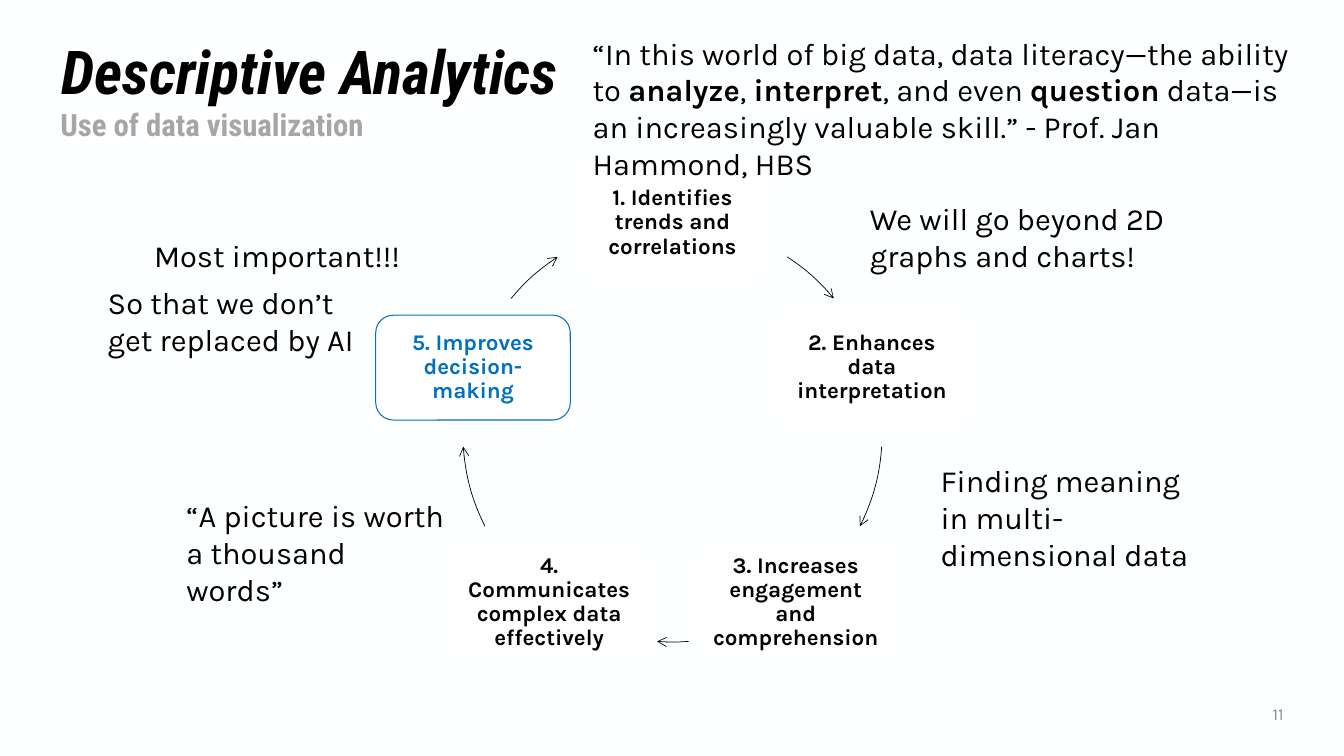
from dataclasses import dataclass
from math import cos, radians, sin

from lxml.etree import SubElement
from pptx import Presentation
from pptx.dml.color import RGBColor
from pptx.enum.shapes import MSO_SHAPE
from pptx.enum.text import MSO_ANCHOR, MSO_AUTO_SIZE, PP_ALIGN
from pptx.oxml.ns import qn
from pptx.util import Inches, Pt


@dataclass(frozen=True)
class Theme:
    background: str = "FEFFFF"
    node_fill: str = "FFFFFF"
    ink: str = "000000"
    accent: str = "0070C0"
    subtitle: str = "A6A6A6"
    number: str = "8C8C8C"
    heading_font: str = "Roboto Condensed"
    body_font: str = "Karla"
    title_size: float = 43.2
    note_size: float = 22
    node_size: float = 16
    number_size: float = 12


THEME = Theme()
CENTER_X, CENTER_Y, RADIUS = 6.67, 4.29, 2.08
NODE_W, NODE_H = 1.93, 1.04

STEPS = [
    "1. Identifies trends and correlations",
    "2. Enhances data interpretation",
    "3. Increases engagement and comprehension",
    "4. Communicates complex data effectively",
    "5. Improves decision-making",
]
HIGHLIGHTED = 4

ARROW_ANGLES = [(303.2, 320.3), (3.9, 26.6), (85.6, 94.2), (153.4, 176.1), (219.7, 236.8)]

NOTES = [
    ("We will go beyond 2D graphs and charts!", (8.53, 1.93, 3.2, 0.84)),
    ("Finding meaning in multi-dimensional data", (9.23, 4.53, 2.79, 1.21)),
    ("“A picture is worth a thousand words”", (1.75, 4.88, 2.79, 0.84)),
    ("Most important!!!", (1.43, 2.3, 2.79, 0.47)),
    ("So that we don’t get replaced by AI", (0.97, 2.77, 2.79, 0.84)),
    ("“In this world of big data, data literacy—the ability to **analyze**, **interpret**, "
     "and even **question** data—is an increasingly valuable skill.” - Prof. Jan Hammond, HBS",
     (5.78, 0.29, 7.18, 1.21)),
]


def set_all(obj, values):
    for name, value in values.items():
        setattr(obj, name, value)


def write(tf, text, color, font, frame=None, paragraph=None):
    set_all(tf, {"word_wrap": True, "auto_size": MSO_AUTO_SIZE.NONE, **(frame or {})})
    p = tf.paragraphs[0]
    set_all(p, paragraph or {})
    for i, part in enumerate(text.split("**")):
        r = p.add_run()
        r.text = part
        set_all(r.font, {"bold": i % 2 == 1, **font})
        r.font.color.rgb = RGBColor.from_string(color)


def add_text(s, box, *content):
    sp = s.shapes.add_textbox(*map(Inches, box))
    write(sp.text_frame, *content)


def add_title(s, text):
    sp = s.shapes.title
    set_all(sp, dict(zip(("left", "top", "width", "height"),
                         map(Inches, (0.51, 0.42, 12.32, 0.64)))))
    font = {"name": THEME.heading_font, "size": Pt(THEME.title_size), "bold": True, "italic": True}
    write(sp.text_frame, text, THEME.ink, font,
          {"vertical_anchor": MSO_ANCHOR.MIDDLE},
          {"alignment": PP_ALIGN.LEFT, "line_spacing": 0.9})


def add_note(s, text, box):
    add_text(s, box, text, THEME.ink,
             {"name": THEME.body_font, "size": Pt(THEME.note_size)},
             {"auto_size": MSO_AUTO_SIZE.SHAPE_TO_FIT_TEXT})


def add_node(s, index, text):
    angle = radians(index * 360 / len(STEPS) - 90)
    left = CENTER_X + RADIUS * cos(angle) - NODE_W / 2
    top = CENTER_Y + RADIUS * sin(angle) - NODE_H / 2
    sp = s.shapes.add_shape(MSO_SHAPE.ROUNDED_RECTANGLE,
                            *map(Inches, (left, top, NODE_W, NODE_H)))
    sp.shadow.inherit = False
    sp.fill.solid()
    sp.fill.fore_color.rgb = RGBColor.from_string(THEME.node_fill)
    color = THEME.ink
    if index == HIGHLIGHTED:
        color = THEME.accent
        sp.line.color.rgb = RGBColor.from_string(color)
        sp.line.width = Pt(0.75)
    else:
        sp.line.fill.background()
    margins = dict.fromkeys(
        ("margin_left", "margin_top", "margin_right", "margin_bottom"), Inches(0.07))
    write(sp.text_frame, text, color,
          {"name": THEME.body_font, "size": Pt(THEME.node_size), "bold": True},
          {"vertical_anchor": MSO_ANCHOR.MIDDLE, **margins},
          {"alignment": PP_ALIGN.CENTER, "line_spacing": 0.9})


def add_arc_arrow(s, start, end):
    sp = s.shapes.add_shape(MSO_SHAPE.ARC, *map(Inches, (
        CENTER_X - RADIUS, CENTER_Y - RADIUS, 2 * RADIUS, 2 * RADIUS)))
    for i, angle in enumerate((start, end)):
        sp.adjustments[i] = angle * 60000 / 100000
    sp.shadow.inherit = False
    sp.fill.background()
    sp.line.color.rgb = RGBColor.from_string(THEME.ink)
    sp.line.width = Pt(0.5)
    SubElement(sp.line._get_or_add_ln(), qn("a:tailEnd"), type="arrow")


def main():
    prs = Presentation()
    set_all(prs, {"slide_width": Inches(13.33), "slide_height": Inches(7.5)})
    s = prs.slides.add_slide(prs.slide_layouts[5])
    s.background.fill.solid()
    s.background.fill.fore_color.rgb = RGBColor.from_string(THEME.background)

    add_title(s, "Descriptive Analytics")
    add_text(s, (0.5, 1.04, 12.33, 0.4), "Use of data visualization", THEME.subtitle,
             {"name": THEME.heading_font, "size": Pt(THEME.note_size), "bold": True},
             {}, {"line_spacing": 0.9})
    add_text(s, (11.63, 6.88, 1.2, 0.4), "11", THEME.number,
             {"name": THEME.body_font, "size": Pt(THEME.number_size)},
             {"vertical_anchor": MSO_ANCHOR.MIDDLE}, {"alignment": PP_ALIGN.RIGHT})
    for index, (text, angles) in enumerate(zip(STEPS, ARROW_ANGLES)):
        add_node(s, index, text)
        add_arc_arrow(s, *angles)
    for text, box in NOTES:
        add_note(s, text, box)
    prs.save("out.pptx")


if __name__ == "__main__":
    main()
